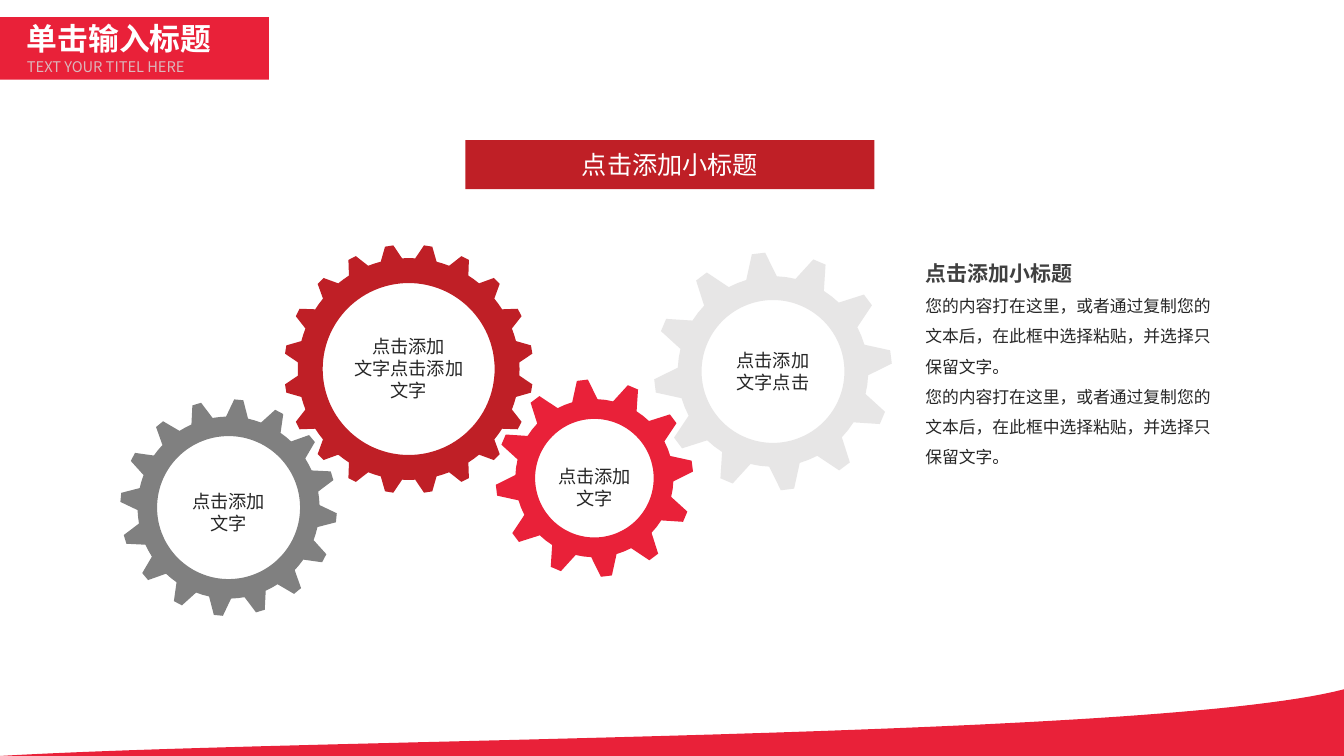
from math import cos, pi, radians, sin

from lxml.etree import SubElement
from pptx import Presentation
from pptx.dml.color import RGBColor
from pptx.enum.shapes import MSO_SHAPE
from pptx.enum.text import MSO_ANCHOR, PP_ALIGN
from pptx.oxml.ns import qn
from pptx.util import Cm, Pt

FONT = "Noto Sans CJK SC"
RED, DEEP, INK, WHITE = "E92139", "BF1F26", "262626", "FFFFFF"
PAD = (0.18, 0.1)
TIP, ROOT = 0.107, 0.31


def tint(item, code):
    item.rgb = RGBColor.from_string(code)


def paint(shape, code):
    shape.shadow.inherit = False
    shape.fill.solid()
    tint(shape.fill.fore_color, code)
    shape.line.fill.background()


def style(para, size, code, bold=False, align=PP_ALIGN.LEFT):
    para.alignment = align
    for run in para.runs:
        font = run.font
        font.size, font.bold, font.name = Pt(size), bold, FONT
        tint(font.color, code)
        SubElement(font._element, qn("a:ea")).set("typeface", FONT)


def write(shape, text, size, code, bold=False, align=PP_ALIGN.LEFT,
          anchor=MSO_ANCHOR.TOP, pad=PAD, wrap=True):
    frame = shape.text_frame
    frame.text = text
    frame.word_wrap = wrap
    frame.vertical_anchor = anchor
    frame.margin_left = frame.margin_right = Cm(pad[0])
    frame.margin_top = frame.margin_bottom = Cm(pad[1])
    for para in frame.paragraphs:
        style(para, size, code, bold, align)
    return frame.paragraphs


def block(slide, box, code):
    shape = slide.shapes.add_shape(MSO_SHAPE.RECTANGLE, *map(Cm, box))
    paint(shape, code)
    return shape


def trace(slide, loops, code):
    pen = None
    for loop in loops:
        spots = [(Cm(x), Cm(y)) for x, y in loop]
        if pen is None:
            pen = slide.shapes.build_freeform(*spots[0])
        else:
            pen.move_to(*spots[0])
        pen.add_line_segments(spots[1:], close=True)
    paint(pen.convert_to_shape(), code)


def header(slide, box):
    left, top, wide, high = box
    band = block(slide, box, RED)
    title = slide.shapes.title
    title.element.addprevious(band.element)
    title.left, title.top = Cm(left + 0.43), Cm(top - 0.07)
    title.width, title.height = Cm(wide - 1.57), Cm(1.19)
    inset = (0.25, 0.13)
    write(title, "单击输入标题", 22, WHITE, True, pad=inset, wrap=False)
    note = slide.shapes.add_textbox(
        Cm(left + 0.43), Cm(top + 0.89), Cm(wide - 1.57), Cm(0.71))
    para, = write(note, "TEXT YOUR TITEL HERE", 10.5, "D9D9D9",
                  align=PP_ALIGN.JUSTIFY, pad=inset)
    shade = para.runs[0].font._element.find(".//" + qn("a:srgbClr"))
    SubElement(shade, qn("a:alpha")).set("val", "82000")


def wave(slide, box):
    left, top, wide, high = box
    knots = ((1, 0), (0.86, 0.74), (0.23, 0.73), (0, 1))
    loop = [(left + wide, top + high)]
    for step in range(61):
        t = step / 60
        mix = ((1 - t) ** 3, 3 * t * (1 - t) ** 2, 3 * t * t * (1 - t), t ** 3)
        x, y = (sum(m * k[axis] for m, k in zip(mix, knots)) for axis in (0, 1))
        loop.append((left + wide * x, top + high * y))
    trace(slide, [loop], RED)


def gear(slide, hub, size, teeth, phase, root, hole, code, text, wide, drop):
    x, y = hub

    def spot(turn, reach):
        return x + size * reach * sin(turn), y - size * reach * cos(turn)

    pitch = 2 * pi / teeth
    marks = ((-ROOT, root), (-TIP, 1), (TIP, 1), (ROOT, root), (0.5, root))
    rim = [spot(radians(phase) + pitch * (tooth + shift), reach)
           for tooth in range(teeth) for shift, reach in marks]
    bore = [spot(-2 * pi * step / 120, hole) for step in range(120)]
    trace(slide, [rim, bore], code)
    high = 0.21 + 0.76 * len(text.split("\n"))
    label = slide.shapes.add_textbox(
        Cm(x - wide / 2), Cm(y + drop - high / 2), Cm(wide), Cm(high))
    write(label, text, 13, INK, align=PP_ALIGN.CENTER, anchor=MSO_ANCHOR.MIDDLE)


def banner(slide, box):
    write(block(slide, box, DEEP), "点击添加小标题", 18, WHITE,
          align=PP_ALIGN.CENTER, anchor=MSO_ANCHOR.MIDDLE)


def story(slide, box):
    body = "您的内容打在这里，或者通过复制您的文本后，在此框中选择粘贴，并选择只保留文字。"
    shape = slide.shapes.add_textbox(*map(Cm, box))
    paras = write(shape, "\n".join(("点击添加小标题", body, body)), 12, INK)
    for para in paras:
        para.line_spacing = 1.5
    font = paras[0].runs[0].font
    font.size, font.bold = Pt(15), True
    tint(font.color, "404040")


def main():
    deck = Presentation()
    deck.slide_width, deck.slide_height = Cm(33.87), Cm(19.05)
    slide = deck.slides.add_slide(deck.slide_layouts[5])
    header(slide, (0, 0.43, 6.78, 1.58))
    wave(slide, (0, 17.37, 33.87, 1.68))
    for row in (
        ((10.3, 9.3), 3.14, 20, 9, 0.89, 0.69, DEEP,
         "点击添加\n文字点击添加\n文字", 4.27, -0.03),
        ((14.98, 12.05), 2.49, 12, -7, 0.8, 0.6, RED,
         "点击添加\n文字", 3.02, 0.22),
        ((5.76, 12.79), 2.73, 16, 5.4, 0.84, 0.66, "808080",
         "点击添加\n文字", 3.02, 0.12),
        ((19.48, 9.36), 3, 12, -7, 0.8, 0.6, "E7E6E6",
         "点击添加\n文字点击", 4.27, -0.01),
    ):
        gear(slide, *row)
    story(slide, (23.14, 6.15, 7.7, 7.44))
    banner(slide, (11.73, 3.53, 10.31, 1.24))
    deck.save("out.pptx")


if __name__ == "__main__":
    main()
